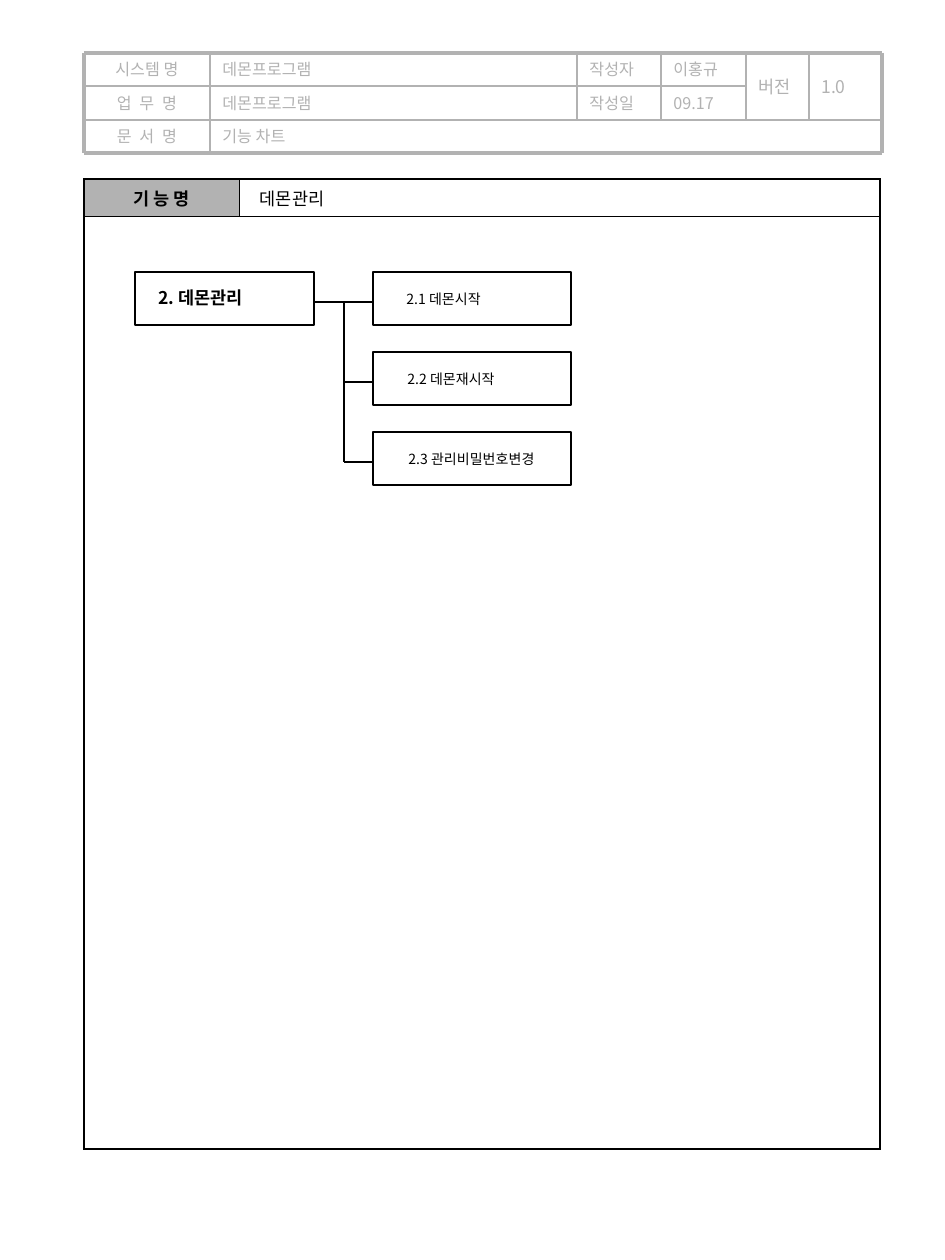
from lxml import etree
from pptx import Presentation
from pptx.dml.color import RGBColor
from pptx.enum.shapes import MSO_CONNECTOR, MSO_SHAPE
from pptx.enum.text import MSO_ANCHOR, MSO_AUTO_SIZE, PP_ALIGN
from pptx.oxml.ns import qn
from pptx.util import Pt

PX = 7257.14  # EMU per px, 126 px to the inch
FONT = "Noto Sans CJK KR"
BLACK, GRAY, WHITE = "000000", "B2B2B2", "FFFFFF"
LEFT, CENTER = PP_ALIGN.LEFT, PP_ALIGN.CENTER
TOP, MIDDLE = MSO_ANCHOR.TOP, MSO_ANCHOR.MIDDLE
STRAIGHT, RECT = MSO_CONNECTOR.STRAIGHT, MSO_SHAPE.RECTANGLE

# Header grid: column and row lines
COL_X = [84, 210, 577, 661, 746, 809, 882]
ROW_Y = [53, 86, 120, 153]
# First column, first row, column after last, row after last, text, size
HEADER_CELLS = [
    (0, 0, 1, 1, "시스템 명", 9.2),
    (1, 0, 2, 1, "데몬프로그램", 9.2),
    (2, 0, 3, 1, "작성자", 9.2),
    (3, 0, 4, 1, "이홍규", 9.2),
    (4, 0, 5, 2, "버전", 10),
    (5, 0, 6, 2, "1.0", 10),
    (0, 1, 1, 2, "업 무 명", 9.2),
    (1, 1, 2, 2, "데몬프로그램", 9.2),
    (2, 1, 3, 2, "작성일", 9.2),
    (3, 1, 4, 2, "09.17", 9.2),
    (0, 2, 1, 3, "문 서 명", 9.2),
    (1, 2, 6, 3, "기능 차트", 9.2),
]
SPREAD_LABELS = ("업 무 명", "문 서 명")

# Function tree: text, label width
CHILDREN = [("2.1 데몬시작", 103), ("2.2 데몬재시작", 116), ("2.3 관리비밀번호변경", 155)]
PARENT_X, PARENT_W, CHILD_X, CHILD_W = 135, 179, 373, 198
BOX_Y, BOX_H, PITCH = 272, 53, 80
TRUNK_X, BRANCH_Y = 344, 302


def px(n):
    return round(n * PX)


def rgb(color):
    return RGBColor.from_string(color)


def set_text(tf, text, size, color, bold=False, align=LEFT, before=0, spread=0):
    p = tf.paragraphs[0]
    p.text = text
    p.alignment = align
    p.space_before = Pt(before)
    r = p.runs[0]
    r.font.size, r.font.bold, r.font.name = Pt(size), bold, FONT
    r.font.color.rgb = rgb(color)
    r_pr = r.font._element
    etree.SubElement(r_pr, qn("a:ea"), typeface=FONT)
    if spread:
        r_pr.set("spc", str(spread))


def add_text(s, x, y, w, h, text, size, color, anchor=TOP, wrap=True, **style):
    tf = s.shapes.add_textbox(px(x), px(y), px(w), px(h)).text_frame
    tf.word_wrap = wrap
    tf.auto_size = MSO_AUTO_SIZE.NONE if wrap else MSO_AUTO_SIZE.SHAPE_TO_FIT_TEXT
    tf.vertical_anchor = anchor
    set_text(tf, text, size, color, **style)


def add_line(s, x1, y1, x2, y2, color=BLACK, width=0.75):
    c = s.shapes.add_connector(STRAIGHT, px(x1), px(y1), px(x2), px(y2))
    c.line.color.rgb = rgb(color)
    c.line.width = Pt(width)
    etree.SubElement(c._element.spPr, qn("a:effectLst"))


def add_box(s, x, y, w):
    sp = s.shapes.add_shape(RECT, px(x), px(y), px(w), px(BOX_H))
    sp.shadow.inherit = False
    sp.fill.background()
    sp.line.color.rgb = rgb(BLACK)
    sp.line.width = Pt(0.75)


def set_borders(cell, **widths):
    tc_pr = cell._tc.get_or_add_tcPr()
    for side in "LRTB":
        ln = etree.SubElement(tc_pr, qn(f"a:ln{side}"), w=str(Pt(widths[side])))
        fill = etree.SubElement(ln, qn("a:solidFill"))
        etree.SubElement(fill, qn("a:srgbClr"), val=BLACK)


def add_header(s):
    for c1, r1, c2, r2, text, size in HEADER_CELLS:
        x, y = COL_X[c1], ROW_Y[r1]
        add_text(s, x, y, COL_X[c2] - x, ROW_Y[r2] - y, text, size, GRAY,
                 anchor=MIDDLE, align=LEFT if c1 else CENTER, before=2.5,
                 spread=115 if text in SPREAD_LABELS else 0)
    left, right, top, bottom = COL_X[0], COL_X[-1], ROW_Y[0], ROW_Y[-1]
    # Inner lines
    add_line(s, left, ROW_Y[1], COL_X[4], ROW_Y[1], GRAY, 1)
    add_line(s, left, ROW_Y[2], right, ROW_Y[2], GRAY, 1)
    add_line(s, COL_X[1], top, COL_X[1], bottom, GRAY, 1)
    for x in COL_X[2:-1]:
        add_line(s, x, top, x, ROW_Y[2], GRAY, 1)
    # Outer frame
    for y in (top, bottom):
        add_line(s, left, y, right, y, GRAY, 2.25)
    for x in (left, right):
        add_line(s, x, top, x, bottom, GRAY, 2.25)


def add_function_table(s):
    widths, heights = [155, 641], [35, 932]
    frame = s.shapes.add_table(2, 2, px(84), px(179), px(sum(widths)), px(sum(heights)))
    table = frame.table
    table.first_row = table.horz_banding = False
    for i in range(2):
        table.columns[i].width = px(widths[i])
        table.rows[i].height = px(heights[i])
    outer, inner = 1.08, 0.45
    for row in range(2):
        for col in range(2):
            cell = table.cell(row, col)
            set_borders(cell, L=inner if (row, col) == (0, 1) else outer,
                        R=inner if (row, col) == (0, 0) else outer,
                        T=inner if row else outer, B=outer if row else inner)
            cell.fill.solid()
            cell.fill.fore_color.rgb = rgb(WHITE if row or col else GRAY)
            cell.vertical_anchor = MIDDLE
    table.cell(1, 0).merge(table.cell(1, 1))
    label, name = table.cell(0, 0), table.cell(0, 1)
    set_text(label.text_frame, "기 능 명", 10, BLACK, bold=True, align=CENTER, before=2.5)
    set_text(name.text_frame, "데몬관리", 10, BLACK, before=2.5)
    name.margin_left = px(21)


def add_function_tree(s):
    # Parent
    add_box(s, PARENT_X, BOX_Y, PARENT_W)
    add_text(s, 146, 281, 115, 34, "2. 데몬관리", 10, BLACK, wrap=False, bold=True)
    # Trunk and children
    last_y = BRANCH_Y + PITCH * (len(CHILDREN) - 1)
    add_line(s, TRUNK_X, BRANCH_Y, TRUNK_X, last_y)
    for i, (text, width) in enumerate(CHILDREN):
        dy = i * PITCH
        add_box(s, CHILD_X, BOX_Y + dy, CHILD_W)
        add_text(s, 394 + i, 284 + dy, width, 30, text, 8, BLACK, wrap=False)
        start = TRUNK_X if i else PARENT_X + PARENT_W
        add_line(s, start, BRANCH_Y + dy, CHILD_X, BRANCH_Y + dy)


def main():
    prs = Presentation()
    prs.slide_width, prs.slide_height = px(945), px(1260)
    s = prs.slides.add_slide(prs.slide_layouts[6])
    add_header(s)
    add_function_table(s)
    add_function_tree(s)
    prs.save("out.pptx")


if __name__ == "__main__":
    main()
